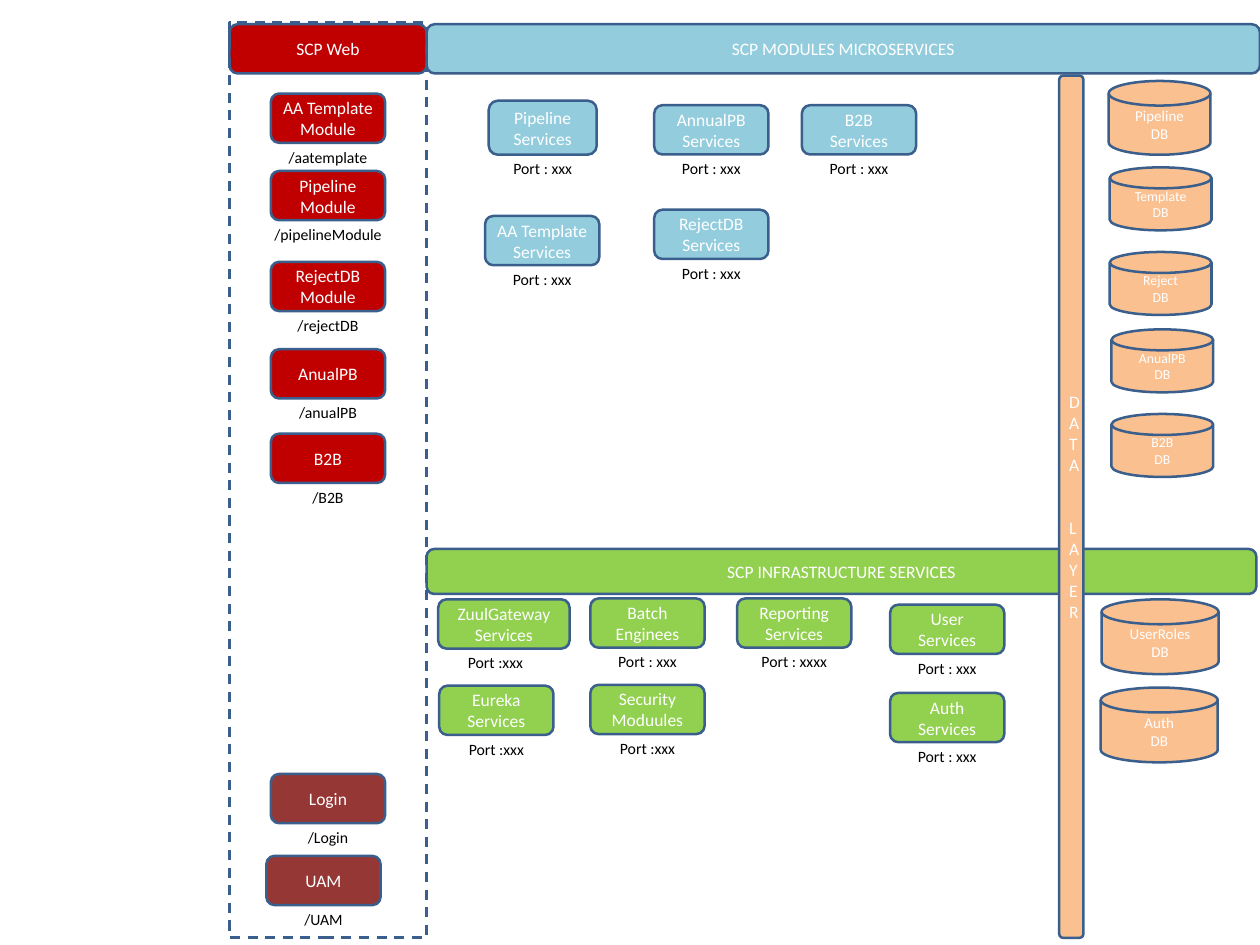
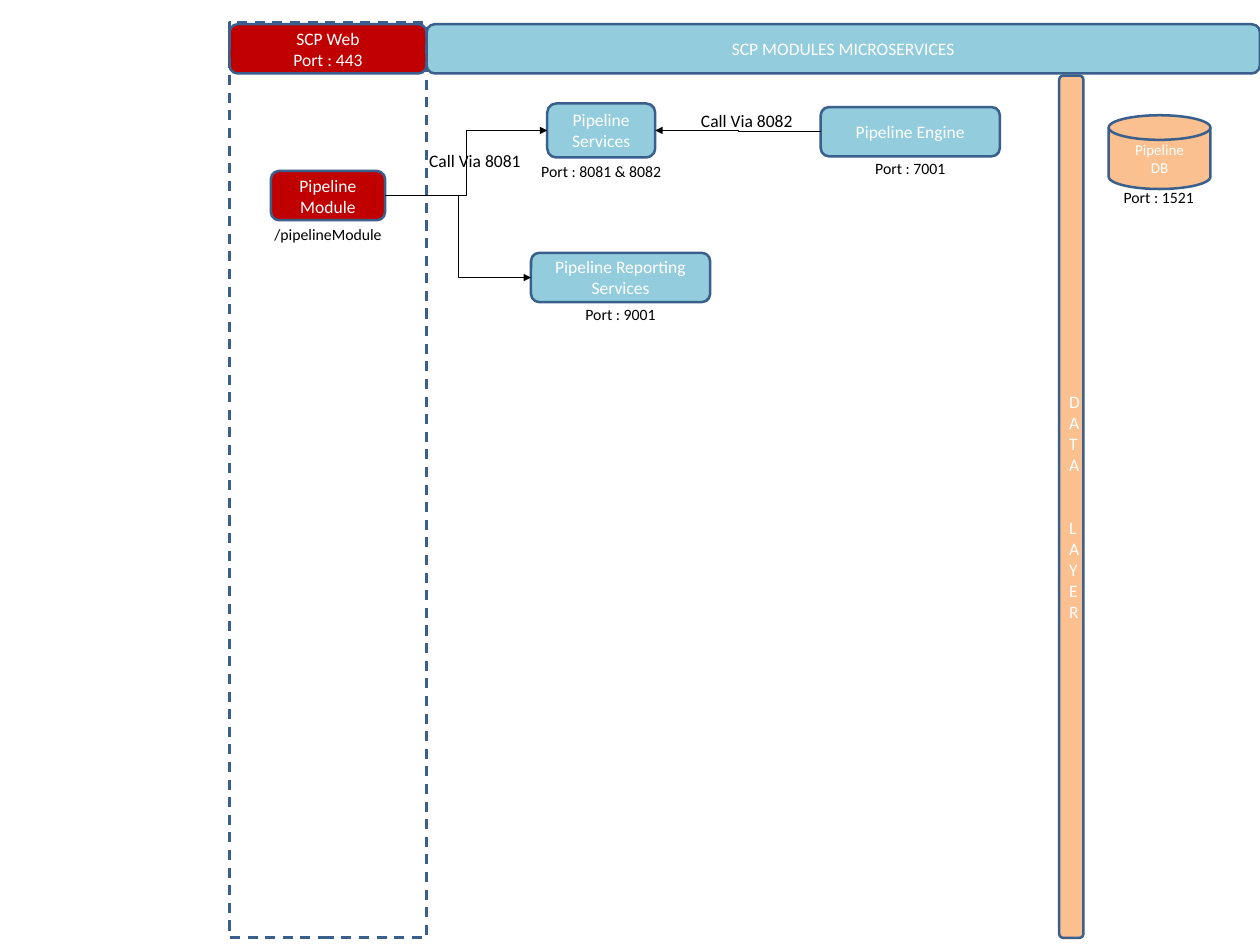
from lxml.etree import SubElement
from pptx import Presentation
from pptx.dml.color import RGBColor
from pptx.enum.dml import MSO_LINE
from pptx.enum.shapes import MSO_CONNECTOR, MSO_SHAPE
from pptx.enum.text import MSO_ANCHOR, MSO_AUTO_SIZE, PP_ALIGN
from pptx.oxml.ns import qn
from pptx.util import Pt

RED, MAROON, BLUE, GREEN, PEACH = "C00000", "953735", "93CDDD", "92D050", "FAC090"
EDGE, WHITE, BLACK = "3A5F8C", "FFFFFF", "000000"
LEFT, RIGHT = 1, 3  # connection sites of a box
BOX_W, BOX_H, LABEL_W = 91.4, 39.4, 134.6
WEB_X, WEB_W, BAND_X, BAND_Y = 183.6, 157.7, 341.3, 19.4
MOD_X = 216.7
PIPE = ("Pipeline Module", "/pipelineModule", RED, MOD_X, 136.8)


def rgb(code):
    return RGBColor.from_string(code)


def put(item, values):
    """Set every attribute named in values."""
    for name, value in values.items():
        setattr(item, name, value)


class Board:
    def __init__(self):
        self.deck = Presentation()
        put(self.deck, {"slide_width": Pt(1008), "slide_height": Pt(756)})

    def start(self):
        self.slide = self.deck.slides.add_slide(self.deck.slide_layouts[6])
        self.shapes = self.slide.shapes

    def label(self, shape, text, size, color, align=PP_ALIGN.CENTER, gap=0, **frame):
        """Fill a text frame; gap is the space ahead of each later paragraph."""
        body = shape.text_frame
        body.text = text
        put(body, {"word_wrap": True, **frame})
        for i, para in enumerate(body.paragraphs):
            put(para, {"alignment": align, "space_before": Pt(gap if i else 0)})
            put(para.font, {"name": "Calibri", "size": Pt(size)})
            para.font.color.rgb = rgb(color)

    def shape(self, kind, x, y, w, h, fill=None):
        item = self.shapes.add_shape(kind, Pt(x), Pt(y), Pt(w), Pt(h))
        item.shadow.inherit = False
        if fill:
            item.fill.solid()
            item.fill.fore_color.rgb = rgb(fill)
        else:
            item.fill.background()
        item.line.color.rgb = rgb(EDGE)
        item.line.width = Pt(2)
        return item

    def box(self, text, fill, x, y, w=BOX_W, h=BOX_H, gap=0):
        item = self.shape(MSO_SHAPE.ROUNDED_RECTANGLE, x, y, w, h, fill)
        self.label(item, text, 14, WHITE, gap=gap, vertical_anchor=MSO_ANCHOR.MIDDLE)
        return item

    def disk(self, text, x, y, w=81.4, h=50.4, size=11):
        item = self.shape(MSO_SHAPE.FLOWCHART_MAGNETIC_DISK, x, y, w, h, PEACH)
        self.label(item, text, size, WHITE, vertical_anchor=MSO_ANCHOR.MIDDLE)

    def note(self, text, x, y, w, h=22.3, size=12.6, align=PP_ALIGN.CENTER, wrap=True):
        item = self.shapes.add_textbox(Pt(x), Pt(y), Pt(w), Pt(h))
        self.label(item, text, size, BLACK, align, word_wrap=wrap,
                   auto_size=MSO_AUTO_SIZE.SHAPE_TO_FIT_TEXT)

    def node(self, text, port, fill, x, y, w=BOX_W, h=BOX_H, shift=0, drop=0):
        """Box with its port or address centred below it."""
        item = self.box(text, fill, x, y, w, h)
        self.note(port, x + (w - LABEL_W) / 2 + shift, y + h + drop, LABEL_W)
        return item

    def link(self, tail, out, head, into):
        """Elbow arrow between the side sites of two boxes."""
        ends = []
        for item, site in ((tail, out), (head, into)):
            ends += [item.left + (item.width if site == RIGHT else 0),
                     item.top + item.height // 2]
        line = self.shapes.add_connector(MSO_CONNECTOR.ELBOW, *ends)
        line.begin_connect(tail, out)
        line.end_connect(head, into)
        line.line.color.rgb = rgb(BLACK)
        line.line.width = Pt(0.75)
        props = line._element.spPr
        SubElement(props.find(qn("a:ln")), qn("a:tailEnd"), type="triangle")
        SubElement(props, qn("a:effectLst"))

    def frame(self, web):
        """Header bands, data layer bar and dashed web column."""
        self.box("SCP MODULES MICROSERVICES", BLUE, BAND_X, BAND_Y, 666.7)
        self.box("DATA\nLAYER", PEACH, 847.4, 60.5, 19.4, 689.8, gap=33.6)
        self.box(web, RED, WEB_X, BAND_Y, WEB_W)
        edge = self.shape(MSO_SHAPE.RECTANGLE, WEB_X, 18, WEB_W, 732.2)
        edge.line.dash_style = MSO_LINE.DASH


def overview(board):
    board.start()
    board.box("SCP INFRASTRUCTURE SERVICES", GREEN, BAND_X, 439.2, 663.8, 36)
    board.frame("SCP Web")

    nodes = [
        ("AA Template Module", "/aatemplate", RED, MOD_X, 74.9),
        PIPE,
        ("RejectDB Module", "/rejectDB", RED, MOD_X, 209.5),
        ("AnualPB", "/anualPB", RED, MOD_X, 279.4),
        ("B2B", "/B2B", RED, MOD_X, 347),
        ("Login", "/Login", MAROON, MOD_X, 619.2),
        ("UAM", "/UAM", MAROON, 213.1, 684.7),
        ("Pipeline\nServices", "Port : xxx", BLUE, 391, 80.6, 86.4, 43.2),
        ("AnnualPB\nServices", "Port : xxx", BLUE, 523.4, 84.2),
        ("B2B\nServices", "Port : xxx", BLUE, 641.5, 84.2),
        ("AA Template\nServices", "Port : xxx", BLUE, 388.1, 172.8),
        ("RejectDB\nServices", "Port : xxx", BLUE, 523.4, 167.8),
        ("ZuulGateway Services", "Port :xxx", GREEN, 350.6, 479.5, 105.1, BOX_H, -6.8),
        ("Batch Enginees", "Port : xxx", GREEN, 472.3, 478.8),
        ("Reporting Services", "Port : xxxx", GREEN, 589.7, 478.8),
        ("User Services", "Port : xxx", GREEN, 712.1, 483.8),
        ("Eureka Services", "Port :xxx", GREEN, 351.4, 548.6),
        ("Security Moduules", "Port :xxx", GREEN, 472.3, 547.9),
        ("Auth Services", "Port : xxx", GREEN, 712.1, 554.4),
    ]
    for node in nodes:
        board.node(*node)

    disks = [
        ("Pipeline\nDB", 887, 64.8, 81.4, 59, 12),
        ("Template\nDB", 887.8, 133.9),
        ("Reject\nDB", 887.8, 201.6),
        ("AnualPB\nDB", 889.2, 263.5),
        ("B2B\nDB", 889.2, 331.2),
        ("UserRoles\nDB", 881.3, 479.5, 93.6, 59.8, 12),
        ("Auth\nDB", 880.6, 550.1, 93.6, 59.8, 12),
    ]
    for disk in disks:
        board.disk(*disk)


def pipeline(board):
    board.start()
    board.frame("SCP Web\nPort : 443")
    module = board.node(*PIPE)
    service = board.node("Pipeline\nServices", "Port : 8081 & 8082", BLUE,
                         437.8, 82.8, 86.4, 43.2)
    report = board.node("Pipeline Reporting\nServices", "Port : 9001", BLUE,
                        424.8, 202.3, 143.3, drop=-1.4)
    engine = board.node("Pipeline Engine", "Port : 7001", BLUE,
                        656.6, 85.7, 143.3, drop=-1.4)
    board.link(module, RIGHT, service, LEFT)
    board.link(module, RIGHT, report, LEFT)
    board.link(engine, LEFT, service, RIGHT)
    for text, x, y in (("Call Via 8081", 336.2, 116.6), ("Call Via 8082", 553.7, 84.2)):
        board.note(text, x, y, 88.6, 24.5, 14, PP_ALIGN.LEFT, False)
    board.disk("Pipeline\nDB", 887, 92.2, 81.4, 59, 12)
    board.note("Port : 1521", 859.7, 146.9, LABEL_W)


def main():
    board = Board()
    overview(board)
    pipeline(board)
    board.deck.save("out.pptx")


if __name__ == "__main__":
    main()
